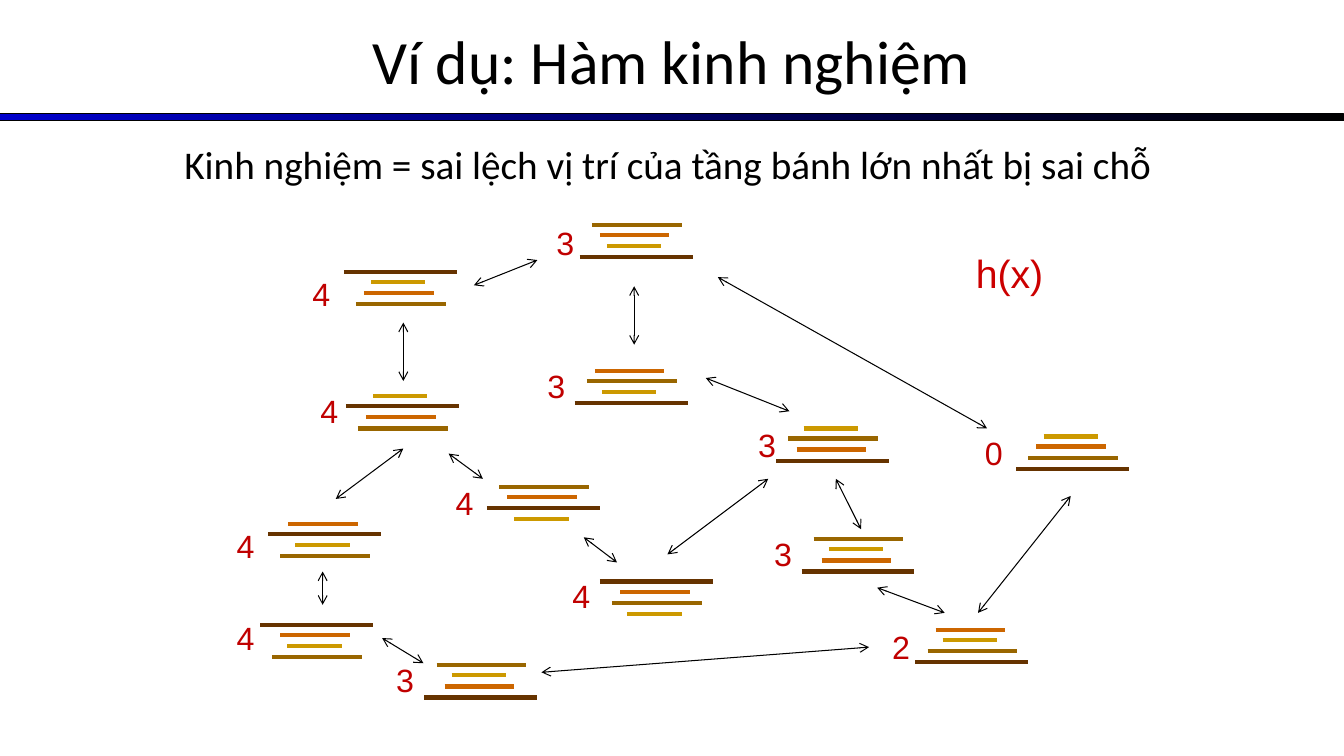
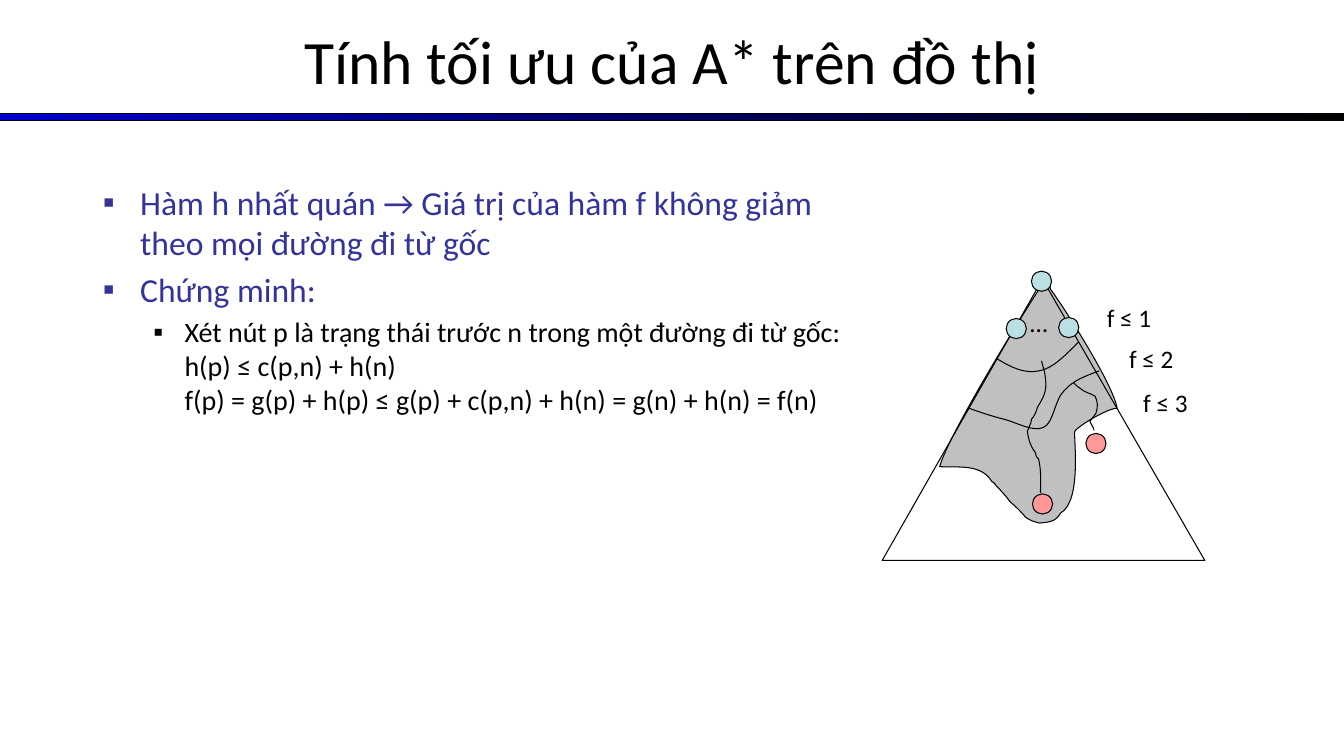
from lxml import etree
from pptx import Presentation
from pptx.dml.color import RGBColor
from pptx.enum.shapes import MSO_CONNECTOR, MSO_SHAPE
from pptx.enum.text import MSO_ANCHOR, MSO_AUTO_SIZE, PP_ALIGN
from pptx.oxml.ns import qn
from pptx.util import Pt

PX = 9144  # 100 px to the inch
WIDE, HIGH = 1333, 750
LINE = MSO_CONNECTOR.STRAIGHT
RECT, OVAL = MSO_SHAPE.RECTANGLE, MSO_SHAPE.OVAL
LEFT, MID = PP_ALIGN.LEFT, PP_ALIGN.CENTER
CENTRE = MSO_ANCHOR.MIDDLE
FIXED = MSO_AUTO_SIZE.NONE

SANS, ARIAL = "Calibri", "Arial"
BLACK, BLUE, INDIGO = "000000", "0000CC", "333399"
RED, CRIMSON = "CC0000", "C00000"
GREY, AQUA, PINK = "C0C0C0", "BBE0E3", "FF9999"

# Cake layers by size: offset from the stack's left edge, width, colour
LAYERS = {
    1: (27, 54, "CC9900"),
    2: (20, 69, "CC6600"),
    3: (12, 89, "996600"),
    4: (0, 112, "663300"),
}

# left, top, layers from top to bottom, h(x), left and top of its label
STACKS = [
    (575, 223, "3214", "3", 542, 217),
    (341, 270, "4123", "4", 300, 267),
    (570, 368, "2314", "3", 533, 358),
    (343, 393, "1423", "4", 308, 383),
    (770, 425, "1324", "3", 742, 417),
    (1008, 433, "1234", "0", 967, 425),
    (483, 483, "3241", "4", 442, 475),
    (266, 520, "2413", "4", 225, 517),
    (795, 535, "3124", "3", 758, 525),
    (595, 577, "4231", "4", 558, 567),
    (258, 620, "4213", "4", 225, 608),
    (908, 625, "2134", "2", 875, 617),
    (421, 660, "3124", "3", 383, 650),
]

MOVES = [
    (533, 258, 470, 283), (400, 378, 400, 320), (333, 495, 400, 445),
    (479, 475, 445, 450), (320, 600, 320, 567), (420, 658, 379, 633),
    (862, 642, 537, 667), (612, 558, 579, 533), (762, 475, 662, 550),
    (700, 375, 783, 408), (629, 284, 629, 342), (979, 425, 712, 275),
    (829, 475, 854, 525), (870, 583, 937, 608), (970, 608, 1062, 492),
]

# Curves: a start point, then two control points and an end point per piece
REGION = [
    (1042, 287), (1056, 306), (1104, 381), (1108, 405),
    (1099, 405), (1070, 422), (1066, 428), (1065, 436), (1073, 497), (1052, 509),
    (1047, 518), (1040, 518), (1031, 519), (1024, 517), (1023, 517), (1017, 513),
    (1014, 509), (1007, 502), (1002, 498), (996, 490), (999, 494), (992, 486),
    (980, 474), (992, 483), (984, 478), (973, 460), (952, 464), (932, 463),
    (940, 433), (1011, 317), (1030, 288), (1048, 258), (1040, 287), (1042, 287),
]
PATHS = [
    [(1033, 358), (1034, 362), (1035, 365), (1036, 369),
     (1039, 386), (1037, 391), (1029, 404), (1028, 408), (1026, 413), (1023, 416),
     (1022, 423), (1023, 417), (1021, 423), (1020, 425), (1019, 428), (1019, 428),
     (1020, 436), (1022, 443), (1027, 449), (1027, 450), (1027, 451), (1028, 453),
     (1028, 454), (1029, 454), (1030, 455), (1033, 467), (1032, 477), (1032, 489)],
    [(1065, 380), (1067, 382), (1069, 384), (1071, 385),
     (1075, 389), (1081, 390), (1086, 393), (1089, 398), (1089, 404), (1087, 410),
     (1085, 413), (1081, 418), (1081, 418), (1082, 421), (1085, 424), (1085, 427)],
]
BOUNDS = [
    [(1090, 368), (1077, 373), (1065, 377), (1056, 387),
     (1046, 396), (1045, 420), (1035, 424), (1025, 429), (1008, 419), (996, 416),
     (984, 413), (972, 409), (961, 405)],
    [(1070, 339), (1057, 352), (1044, 366), (1030, 368),
     (1016, 371), (1002, 364), (989, 356)],
]
NODES = [
    (1023, 269, AQUA), (998, 316, AQUA), (1050, 315, AQUA),
    (1077, 430, PINK), (1024, 490, PINK),
]


def emu(*vals):
    return [v * PX for v in vals]


def tint(code):
    return RGBColor.from_string(code)


def write(para, text, size, code=BLACK, face=SANS):
    run = para.add_run()
    run.text = text
    run.font.size = Pt(size)
    run.font.name = face
    run.font.color.rgb = tint(code)


def label(slide, box, text, size, code=BLACK, face=SANS, align=LEFT, wrap=True):
    frame = slide.shapes.add_textbox(*emu(*box)).text_frame
    frame.word_wrap = wrap
    para = frame.paragraphs[0]
    para.alignment = align
    write(para, text, size, code, face)


def paint(shape, fill=None):
    """Give a shape a flat fill, or none, and a thin black outline."""
    shape.shadow.inherit = False
    if fill:
        shape.fill.solid()
        shape.fill.fore_color.rgb = tint(fill)
    else:
        shape.fill.background()
    shape.line.color.rgb = tint(BLACK)
    shape.line.width = Pt(0.75)


def stroke(slide, ends, code, width):
    line = slide.shapes.add_connector(LINE, *emu(*ends))
    line.line.color.rgb = tint(code)
    line.line.width = Pt(width)
    etree.SubElement(line.element.spPr, qn("a:effectLst"))
    return line


def arrow(slide, ends):
    """Draw a thin line with an open head at both ends."""
    ln = stroke(slide, ends, BLACK, 0.75).element.spPr.get_or_add_ln()
    for tag in ("a:headEnd", "a:tailEnd"):
        etree.SubElement(ln, qn(tag), type="arrow")


def stack(slide, left, top, order):
    for row, key in enumerate(order):
        shift, width, code = LAYERS[int(key)]
        x, y = left + shift, top + row * 32 // 3
        stroke(slide, (x, y, x + width, y), code, 3)


def outline(slide, points, close=False, fill=None):
    first, *rest = [emu(*p) for p in points]
    pen = slide.shapes.build_freeform(*first, scale=1.0)
    pen.add_line_segments(rest, close=close)
    shape = pen.convert_to_shape()
    paint(shape, fill)
    return shape


def curve(slide, points, close=False, fill=None):
    """Draw an outline, then join each three of its segments to one cubic."""
    shape = outline(slide, points, close, fill)
    steps = list(shape.element.iter(qn("a:lnTo")))
    for i in range(0, len(points) - 1, 3):
        cubic = etree.Element(qn("a:cubicBezTo"))
        steps[i].addprevious(cubic)
        for step in steps[i:i + 3]:
            cubic.append(step[0])
            step.getparent().remove(step)


def band(deck, slide):
    """Put the gradient rule on the master, behind everything."""
    bar = slide.shapes.add_shape(RECT, *emu(0, 113, WIDE, 7))
    paint(bar, BLUE)
    bar.fill.gradient()
    bar.fill.gradient_angle = 0
    for spot, code in enumerate((BLUE, BLACK)):
        stop = bar.fill.gradient_stops[spot]
        stop.color.rgb = tint(code)
        stop.position = spot
    deck.slide_master.shapes.element.insert(2, bar.element)


def place(shape, box):
    shape.left, shape.top, shape.width, shape.height = emu(*box)
    shape.text_frame.auto_size = FIXED


def start(deck, layout, title):
    slide = deck.slides.add_slide(deck.slide_layouts[layout])
    head = slide.shapes.title
    place(head, (0, -3, WIDE, 125))
    head.text_frame.vertical_anchor = CENTRE
    para = head.text_frame.paragraphs[0]
    para.alignment = MID
    write(para, title, 44)
    return slide


def bullet(para, level, lines, size, code, margin, hang, before):
    para.level = level
    props = para._p.get_or_add_pPr()
    for name, val in zip(("marL", "indent"), emu(margin, -hang)):
        props.set(name, str(val))
    colour = etree.SubElement(props, qn("a:buClr"))
    etree.SubElement(colour, qn("a:srgbClr"), val=code)
    etree.SubElement(props, qn("a:buFont"), typeface=ARIAL)
    etree.SubElement(props, qn("a:buChar"), char="▪")
    para.space_before = Pt(before)
    for i, text in enumerate(lines):
        if i:
            para.add_line_break()
        write(para, text, size, code)


def cakes(deck):
    slide = start(deck, 5, "Ví dụ: Hàm kinh nghiệm")
    band(deck, slide)
    label(slide, (0, 134, WIDE, 57),
          "Kinh nghiệm = sai lệch vị trí của tầng bánh lớn nhất bị sai chỗ ",
          28, align=MID)
    for left, top, order, value, x, y in STACKS:
        stack(slide, left, top, order)
        label(slide, (x, y, 33, 49), value, 23, CRIMSON, ARIAL, MID, False)
    for ends in MOVES:
        arrow(slide, ends)
    label(slide, (958, 242, 125, 57), "h(x)", 28, RED, ARIAL)


def proof(deck):
    slide = start(deck, 1, "Tính tối ưu của A* trên đồ thị")
    body = slide.placeholders[1]
    place(body, (92, 175, 774, 483))
    items = [
        (0, ["Hàm h nhất quán → Giá trị của hàm f không giảm theo mọi đường đi từ gốc"],
         24, INDIGO, 37, 37, 0),
        (0, ["Chứng minh:"], 24, INDIGO, 37, 37, 5),
        (1, ["Xét nút p là trạng thái trước n trong một đường đi từ gốc:",
             "h(p) ≤ c(p,n) + h(n)",
             "f(p) = g(p) + h(p) ≤ g(p) + c(p,n) + h(n) = g(n) + h(n) = f(n)"],
         20, BLACK, 81, 31, 4),
    ]
    frame = body.text_frame
    for i, item in enumerate(items):
        bullet(frame.add_paragraph() if i else frame.paragraphs[0], *item)

    curve(slide, REGION, True, GREY)
    outline(slide, [(875, 556), (1195, 556), (1034, 277)], True)
    for points in PATHS + BOUNDS:
        curve(slide, points)
    for x, y, code in NODES:
        paint(slide.shapes.add_shape(OVAL, *emu(x, y, 20, 20)), code)
    label(slide, (1012, 300, 30, 40), "…", 18, wrap=False)
    for x, y, text in ((1088, 295, "f ≤ 1"), (1110, 336, "f ≤ 2"), (1124, 379, "f ≤ 3")):
        label(slide, (x, y, 90, 40), text, 18)


def main():
    deck = Presentation()
    deck.slide_width, deck.slide_height = emu(WIDE, HIGH)
    cakes(deck)
    proof(deck)
    deck.save("out.pptx")


if __name__ == "__main__":
    main()
